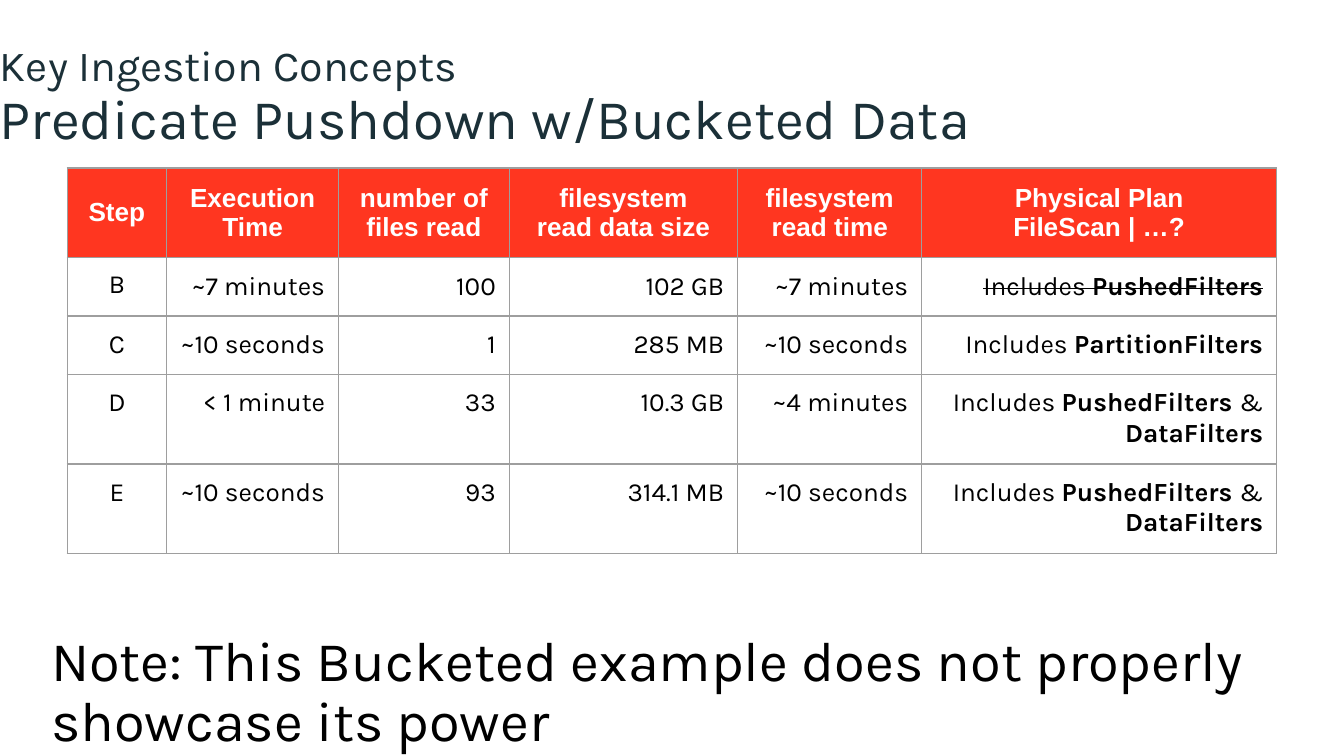
from lxml.etree import SubElement
from pptx import Presentation
from pptx.dml.color import RGBColor
from pptx.enum.text import MSO_ANCHOR, PP_ALIGN
from pptx.oxml.ns import qn
from pptx.util import Inches, Pt

WIDTH = 10
HEIGHT = WIDTH * 9 / 16
NAVY, RED, WHITE, BLACK, GREY = "1B3038", "FF3620", "FFFFFF", "000000", "9E9E9E"


def style(paragraph, size, face, color, bold=False):
    font = paragraph.font
    font.size, font.name, font.bold = Pt(size), face, bold
    font.color.rgb = RGBColor.from_string(color)


def outline(cell):
    """Draw a thin grey border on all four sides, ahead of the cell's fill."""
    properties = cell._tc.get_or_add_tcPr()
    for side in ("lnL", "lnR", "lnT", "lnB"):
        line = SubElement(properties, qn(f"a:{side}"), w=str(Pt(0.75)))
        fill = SubElement(line, qn("a:solidFill"))
        SubElement(fill, qn("a:srgbClr"), val=GREY)


deck = Presentation()
deck.slide_width, deck.slide_height = Inches(WIDTH), Inches(HEIGHT)
slide = deck.slides.add_slide(deck.slide_layouts[6])

# Heading, subheading and closing note
for words, left, top, height, size, color, spacing in [
    ("Key Ingestion Concepts", 0, 0.25, 0.42, 23, NAVY, 1.0),
    ("Predicate Pushdown w/Bucketed Data", 0, 0.58, 0.5, 30, NAVY, 1.0),
    ("Note: This Bucketed example does not properly showcase its power",
     0.38, 4.67, 0.42, 30, BLACK, 0.9),
]:
    frame = slide.shapes.add_textbox(
        Inches(left), Inches(top), Inches(WIDTH - left), Inches(height)
    ).text_frame
    frame.word_wrap = True
    frame.margin_left = frame.margin_right = 0
    frame.margin_top = frame.margin_bottom = Inches(0.04)
    frame.text = words
    frame.paragraphs[0].line_spacing = spacing
    style(frame.paragraphs[0], size, "Karla", color)

# Comparison of the steps; text between asterisks is bold
headers = ["Step", "Execution\vTime", "number of\vfiles read",
           "filesystem\vread data size", "filesystem\vread time",
           "Physical Plan\vFileScan | …?"]
steps = [
    ["B", "~7 minutes", "100", "102 GB", "~7 minutes", "Includes *PushedFilters*"],
    ["C", "~10 seconds", "1", "285 MB", "~10 seconds", "Includes *PartitionFilters*"],
    ["D", "< 1 minute", "33", "10.3 GB", "~4 minutes",
     "Includes *PushedFilters *& *DataFilters*"],
    ["E", "~10 seconds", "93", "314.1 MB", "~10 seconds",
     "Includes *PushedFilters *& *DataFilters*"],
]
column_widths = [0.74, 1.28, 1.27, 1.7, 1.37, 2.64]
row_heights = [0.63, 0.43, 0.43, 0.65, 0.65]
table = slide.shapes.add_table(
    len(row_heights), len(column_widths), Inches(0.5), Inches(1.25),
    Inches(sum(column_widths)), Inches(sum(row_heights))
).table
for column, width in zip(table.columns, column_widths):
    column.width = Inches(width)
for row, height in zip(table.rows, row_heights):
    row.height = Inches(height)

for r, entries in enumerate([headers, *steps]):
    for c, entry in enumerate(entries):
        cell = table.cell(r, c)
        outline(cell)
        cell.fill.solid()
        cell.fill.fore_color.rgb = RGBColor.from_string(WHITE if r else RED)
        cell.margin_left = cell.margin_right = Inches(0.1)
        cell.margin_top = cell.margin_bottom = Inches(0.1)
        paragraph = cell.text_frame.paragraphs[0]
        if r == 0:
            cell.vertical_anchor = MSO_ANCHOR.MIDDLE
            paragraph.text = entry
            style(paragraph, 14, "Arial", WHITE, bold=True)
        else:
            for i, part in enumerate(entry.split("*")):
                if part:
                    run = paragraph.add_run()
                    run.text = part
                    if i % 2:
                        run.font.bold = True
                    if entries[0] == "B" and c == len(entries) - 1:
                        run.font._element.set("strike", "sngStrike")
            style(paragraph, 14, "Karla", BLACK)
        paragraph.alignment = PP_ALIGN.RIGHT if r and c else PP_ALIGN.CENTER
        if entry == "B":
            paragraph.line_spacing = 0.9

deck.save("out.pptx")
